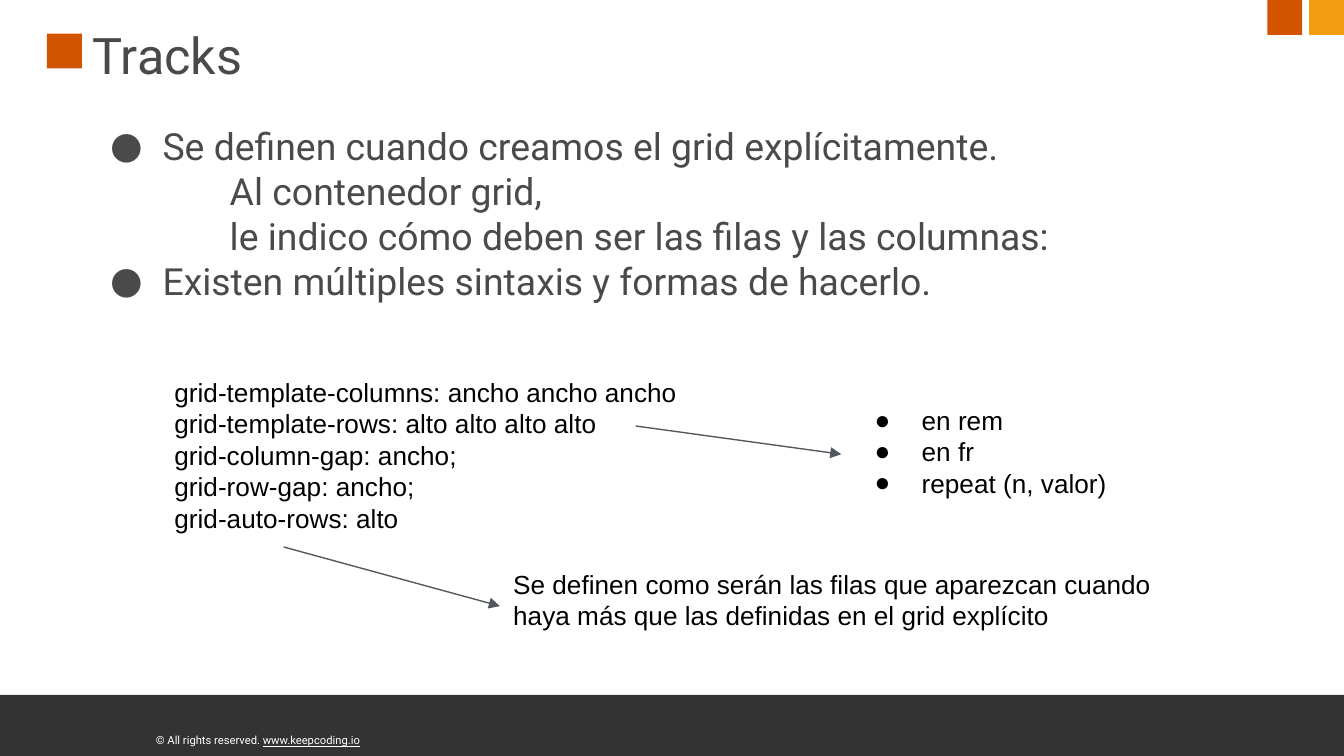
from pptx import Presentation
from pptx.dml.color import RGBColor
from pptx.enum.shapes import MSO_CONNECTOR, MSO_SHAPE
from pptx.enum.text import MSO_ANCHOR, MSO_AUTO_SIZE, PP_ALIGN
from pptx.oxml.ns import qn
from pptx.util import Inches, Pt
from lxml import etree

RECTANGLE = MSO_SHAPE.RECTANGLE
STRAIGHT = MSO_CONNECTOR.STRAIGHT
TOP, MIDDLE = MSO_ANCHOR.TOP, MSO_ANCHOR.MIDDLE
LEFT = PP_ALIGN.LEFT
NO_AUTOFIT = MSO_AUTO_SIZE.NONE

ORANGE = RGBColor(0xD3, 0x54, 0x00)
AMBER = RGBColor(0xF3, 0x9C, 0x12)
CHARCOAL = RGBColor(0x33, 0x33, 0x33)
GRAY = RGBColor(0x4A, 0x4A, 0x4A)
ARROW_GRAY = RGBColor(0x53, 0x58, 0x5F)
BLACK = RGBColor(0, 0, 0)
WHITE = RGBColor(0xFF, 0xFF, 0xFF)

TITLE_ONLY = 5
MARKER = 0.26


class SlideBuilder:
    heading_font = "Roboto"
    code_font = "Arial"

    def __init__(self, slide):
        self.slide = slide

    def block(self, left, top, width, height, color):
        block = self.slide.shapes.add_shape(
            RECTANGLE, Inches(left), Inches(top), Inches(width), Inches(height))
        block.shadow.inherit = False
        block.fill.solid()
        block.fill.fore_color.rgb = color
        block.line.fill.background()

    def style_run(self, run, size, font, color):
        run.font.size = Pt(size)
        run.font.name = font
        run.font.color.rgb = color

    def fill_text(self, shape, lines, size, font, color, inset, anchor):
        frame = shape.text_frame
        frame.word_wrap = True
        frame.auto_size = NO_AUTOFIT
        frame.vertical_anchor = anchor
        frame.margin_left = frame.margin_right = Inches(inset)
        frame.margin_top = frame.margin_bottom = Inches(inset)
        frame.text = "\n".join(lines)
        for paragraph in frame.paragraphs:
            paragraph.alignment = LEFT
            for run in paragraph.runs:
                self.style_run(run, size, font, color)
        return frame.paragraphs

    def title(self, text, left, top, width, height):
        title = self.slide.shapes.title
        title.left, title.top = Inches(left), Inches(top)
        title.width, title.height = Inches(width), Inches(height)
        self.fill_text(title, [text], 27, self.heading_font, GRAY, 0.06, TOP)

    def text(self, lines, left, top, width, height, size=14, font=code_font,
             color=BLACK, inset=0.1, anchor=TOP):
        box = self.slide.shapes.add_textbox(
            Inches(left), Inches(top), Inches(width), Inches(height))
        return self.fill_text(box, lines, size, font, color, inset, anchor)

    def indent(self, paragraph, left, hanging=0):
        properties = paragraph._p.get_or_add_pPr()
        properties.set("marL", str(Inches(left)))
        properties.set("indent", str(-Inches(hanging)))
        return properties

    def bullet(self, paragraph, left, hanging, font, color):
        properties = self.indent(paragraph, left, hanging)
        bullet_color = etree.SubElement(properties, qn("a:buClr"))
        etree.SubElement(bullet_color, qn("a:srgbClr"), val=str(color))
        etree.SubElement(properties, qn("a:buFont"), typeface=font)
        etree.SubElement(properties, qn("a:buChar"), char="●")

    def arrow(self, start, end):
        arrow = self.slide.shapes.add_connector(
            STRAIGHT, *(Inches(value) for value in (*start, *end)))
        arrow.line.color.rgb = ARROW_GRAY
        arrow.line.width = Pt(0.75)
        etree.SubElement(arrow.line._get_or_add_ln(), qn("a:tailEnd"), type="triangle")
        etree.SubElement(arrow._element.spPr, qn("a:effectLst"))


def main():
    presentation = Presentation()
    # Widescreen, 16:9
    presentation.slide_width = Inches(10)
    presentation.slide_height = Inches(10) * 9 // 16
    layout = presentation.slide_layouts[TITLE_ONLY]
    builder = SlideBuilder(presentation.slides.add_slide(layout))

    # Brand blocks and footer band
    builder.block(0.35, 0.25, MARKER, MARKER, ORANGE)
    builder.block(-0.03, 5.17, 10.05, 0.46, CHARCOAL)
    builder.block(9.43, 0, MARKER, MARKER, ORANGE)
    builder.block(9.74, 0, MARKER, MARKER, AMBER)

    # Copyright line with underlined address
    copyright_line = builder.text(
        ["© All rights reserved. "], 1.13, 5.43, 4.48, 0.16,
        6, builder.heading_font, WHITE, 0.03, MIDDLE)[0]
    address = copyright_line.add_run()
    address.text = "www.keepcoding.io"
    builder.style_run(address, 6, builder.heading_font, WHITE)
    address.font.underline = True

    # Title and main points
    builder.title("Tracks", 0.63, 0.12, 8.57, 0.59)
    definition, detail, syntaxes = builder.text(
        ["Se definen cuando creamos el grid explícitamente.",
         "Al contenedor grid, \vle indico cómo deben ser las filas y las columnas:",
         "Existen múltiples sintaxis y formas de hacerlo."],
        0.65, 0.86, 7.97, 1.7, 20, builder.heading_font, GRAY, 0.06)
    for point in (definition, syntaxes):
        builder.bullet(point, 0.5, 0.39, builder.heading_font, GRAY)
    builder.indent(detail, 1)

    # Grid properties
    builder.text(
        ["grid-template-columns: ancho ancho ancho",
         "grid-template-rows: alto alto alto alto",
         "grid-column-gap: ancho;\vgrid-row-gap: ancho;",
         "grid-auto-rows: alto"],
        1.2, 2.71, 3.97, 1.35, anchor=MIDDLE)

    # Possible units
    units = builder.text(["en rem", "en fr", "repeat (n, valor)"], 6.26, 2.91, 2.54, 0.94)
    for unit in units:
        builder.bullet(unit, 0.5, 0.35, builder.code_font, BLACK)
    builder.arrow((4.73, 3.17), (6.26, 3.38))

    # Explanation of automatic rows
    builder.text(
        ["Se definen como serán las filas que aparezcan cuando "
         "haya más que las definidas en el grid explícito"],
        3.72, 4.13, 4.95, 0.76)
    builder.arrow((2.11, 4.07), (3.72, 4.51))

    presentation.save("out.pptx")


if __name__ == "__main__":
    main()
